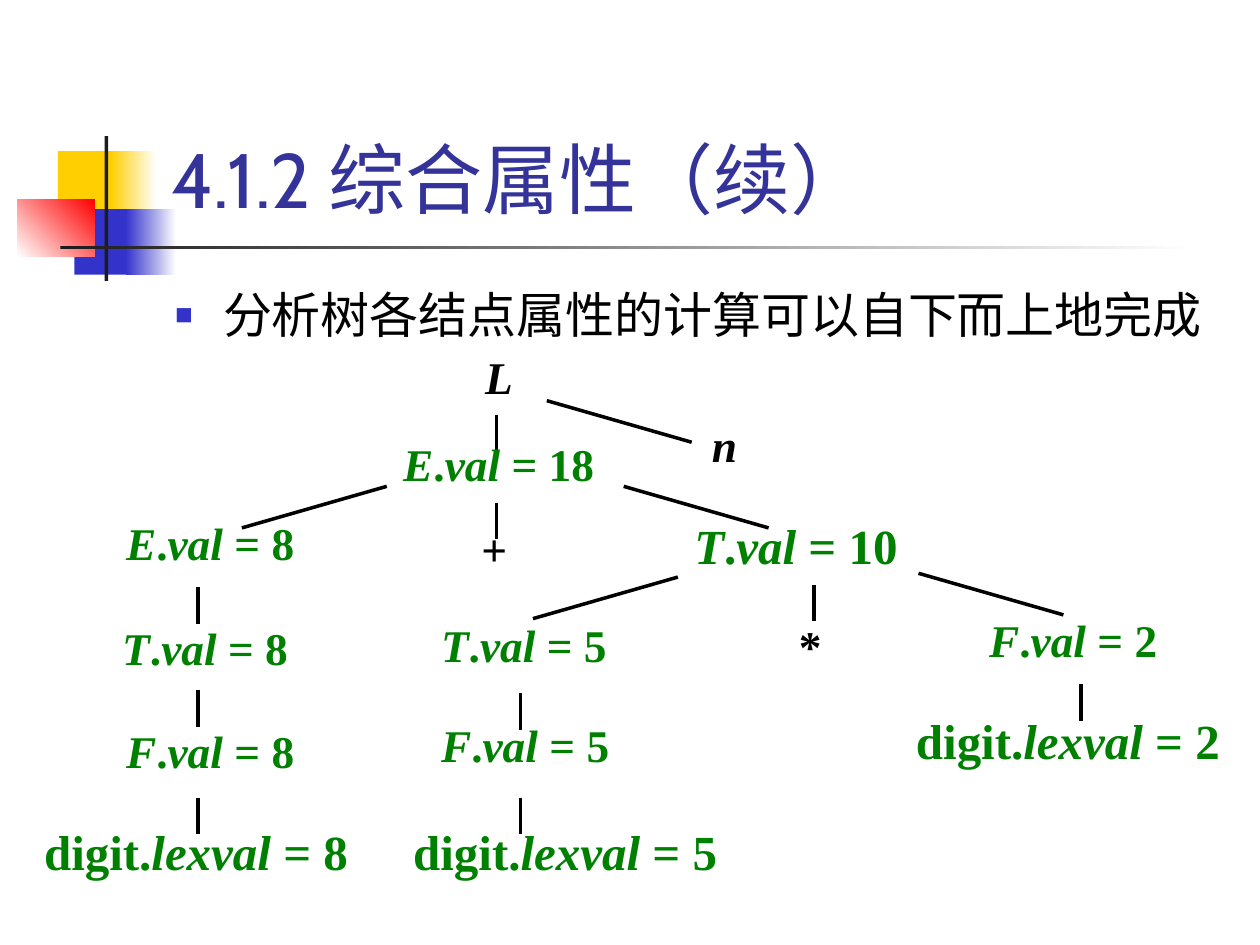
import pptx
import pptx.util
import pptx.dml.color
import pptx.enum.dml
import pptx.enum.shapes
import pptx.enum.text
import pptx.oxml
import pptx.oxml.ns
from pptx.util import Inches

RGBColor = pptx.dml.color.RGBColor
YELLOW = RGBColor(0xFF, 0xCF, 0x01)
BLUE = RGBColor(0x33, 0x33, 0xCC)
RED = RGBColor(0xFF, 0x00, 0x00)
CHARCOAL = RGBColor(0x1C, 0x1C, 0x1C)
WHITE = RGBColor(0xFF, 0xFF, 0xFF)
BLACK = RGBColor(0x00, 0x00, 0x00)
TITLE_BLUE = RGBColor(0x33, 0x33, 0x99)
GREEN = RGBColor(0x00, 0x80, 0x00)
CJK_FONT = "Noto Sans CJK SC"
TREE_FONT = "Times New Roman"
ANCHOR = pptx.enum.text.MSO_ANCHOR
ALIGN = pptx.enum.text.PP_ALIGN


def add_run(paragraph, text, color, **formats):
    run = paragraph.add_run()
    run.text = text
    run.font.color.rgb = color
    for attribute, value in formats.items():
        setattr(run.font, attribute, value)
    return run


def add_label(left, top, width, size, color, runs):
    height = 0.49 if size == 28 else 0.47
    label = slide.shapes.add_textbox(Inches(left), Inches(top), Inches(width), Inches(height))
    frame_formats = {
        "word_wrap": True,
        "margin_left": Inches(0.02), "margin_right": Inches(0.02),
        "margin_top": Inches(0.01), "margin_bottom": Inches(0.01),
    }
    for attribute, value in frame_formats.items():
        setattr(label.text_frame, attribute, value)
    paragraph = label.text_frame.paragraphs[0]
    paragraph.alignment = ALIGN.JUSTIFY
    for text, italic in runs:
        add_run(paragraph, text, color, name=TREE_FONT, size=pptx.util.Pt(size),
                bold=True, italic=italic)


presentation = pptx.Presentation()
presentation.slide_width = Inches(10)
presentation.slide_height = Inches(7.5)
slide = presentation.slides.add_slide(presentation.slide_layouts[1])
title, body = slide.placeholders

# Corner ornament and rule: left, top, width, height, start colour, end colour, angle
ornaments = [
    (0.46, 1.2, 0.48, 0.52, YELLOW, None, 0),
    (0.88, 1.2, 0.36, 0.52, YELLOW, WHITE, 0),
    (0.59, 1.66, 0.46, 0.52, BLUE, None, 0),
    (1, 1.66, 0.4, 0.52, BLUE, WHITE, 0),
    (0.14, 1.58, 0.61, 0.46, WHITE, RED, 45),
    (0.83, 1.08, 0.03, 1.15, CHARCOAL, None, 0),
    (0.48, 1.95, 9, 0.03, CHARCOAL, WHITE, 0),
]
for *box, start, end, angle in ornaments:
    ornament = slide.shapes.add_shape(pptx.enum.shapes.MSO_SHAPE.RECTANGLE, *map(Inches, box))
    ornament.shadow.inherit = False
    ornament.line.fill.background()
    if end is None:
        ornament.fill.solid()
        ornament.fill.fore_color.rgb = start
    else:
        ornament.fill.gradient()
        ornament.fill.gradient_angle = angle
        for stop, color in zip(ornament.fill.gradient_stops, (start, end)):
            stop.color.rgb = color

# Title and bullet
headings = [
    (title, (1.26, 0.23, 8.52, 1.6), ANCHOR.BOTTOM, "4.1.2 综合属性（续）", "Cabin", 44, TITLE_BLUE),
    (body, (1.29, 2.21, 8.5, 4.5), ANCHOR.TOP, "分析树各结点属性的计算可以自下而上地完成", CJK_FONT, 28, BLACK),
]
for heading, box, anchor, text, font_name, size, color in headings:
    heading.left, heading.top, heading.width, heading.height = map(Inches, box)
    heading.text_frame.vertical_anchor = anchor
    heading.text_frame.auto_size = pptx.enum.text.MSO_AUTO_SIZE.NONE
    paragraph = heading.text_frame.paragraphs[0]
    paragraph.alignment = ALIGN.LEFT
    paragraph.space_before = pptx.util.Pt(0)
    if heading is body:
        properties = paragraph._p.get_or_add_pPr()
        properties.set("marL", str(Inches(0.38)))
        properties.set("indent", str(Inches(-0.38)))
        for tag, inner in [
            ("buClr", f'><a:srgbClr val="{BLUE}"/></a:buClr>'),
            ("buSzPct", ' val="60000"/>'),
            ("buChar", ' char="■"/>'),
        ]:
            namespace = pptx.oxml.ns.nsdecls("a")
            properties.append(pptx.oxml.parse_xml(f"<a:{tag} {namespace}{inner}"))
    run = add_run(paragraph, text, color, name=font_name, size=pptx.util.Pt(size))
    east_asian = run._r.get_or_add_rPr().makeelement(pptx.oxml.ns.qn("a:ea"), {"typeface": CJK_FONT})
    run._r.get_or_add_rPr().append(east_asian)

# Tree branches: straight drops, then slanted ones with their horizontal direction
drops = [
    (3.94, 3.29), (3.94, 3.99),
    (1.57, 4.66), (1.57, 5.48), (1.57, 6.33),
    (6.46, 4.64), (4.13, 5.5), (4.13, 6.33), (8.58, 5.43),
]
slants = [
    (4.34, 3.18, 1), (3.07, 3.86, -1), (4.95, 3.86, 1),
    (5.38, 4.58, -1), (7.29, 4.55, 1),
]
branches = [(x, y, x, y + 0.29) for x, y in drops]
branches += [(x, y, x + 1.15 * direction, y + 0.33) for x, y, direction in slants]
for ends in branches:
    branch = slide.shapes.add_connector(pptx.enum.shapes.MSO_CONNECTOR.STRAIGHT, *map(Inches, ends))
    branch.line.color.rgb = BLACK
    branch.line.width = pptx.util.Pt(2)
    shape_properties = branch._element.spPr
    shape_properties.append(shape_properties.makeelement(pptx.oxml.ns.qn("a:effectLst"), {}))

# Attributed nodes: left, top, width, size, symbol, attribute, value
nodes = [
    (3.18, 3.45, 1.69, 25.9, "E", "val", 18),
    (0.98, 4.08, 1.58, 25.9, "E", "val", 8),
    (0.95, 4.91, 1.58, 25.9, "T", "val", 8),
    (0.98, 5.73, 1.58, 25.9, "F", "val", 8),
    (0.33, 6.51, 2.6, 28, "digit", "lexval", 8),
    (5.49, 4.08, 1.69, 28, "T", "val", 10),
    (3.48, 4.89, 1.69, 25.9, "T", "val", 5),
    (3.48, 5.68, 1.69, 25.9, "F", "val", 5),
    (3.26, 6.51, 2.6, 28, "digit", "lexval", 5),
    (7.83, 4.85, 1.69, 25.9, "F", "val", 2),
    (7.25, 5.63, 2.5, 28, "digit", "lexval", 2),
]
for left, top, width, size, symbol, attribute, value in nodes:
    node_runs = [(symbol, symbol != "digit"), (".", False),
                 (f"{attribute} ", True), (f"= {value}", False)]
    add_label(left, top, width, size, GREEN, node_runs)

# Root and terminals
for left, top, symbol in [(3.83, 2.76, "L"), (5.63, 3.3, "n"), (3.8, 4.13, "+"), (6.32, 4.9, "*")]:
    add_label(left, top, 0.43, 25.9, BLACK, [(symbol, symbol.isalpha())])

presentation.save("out.pptx")
